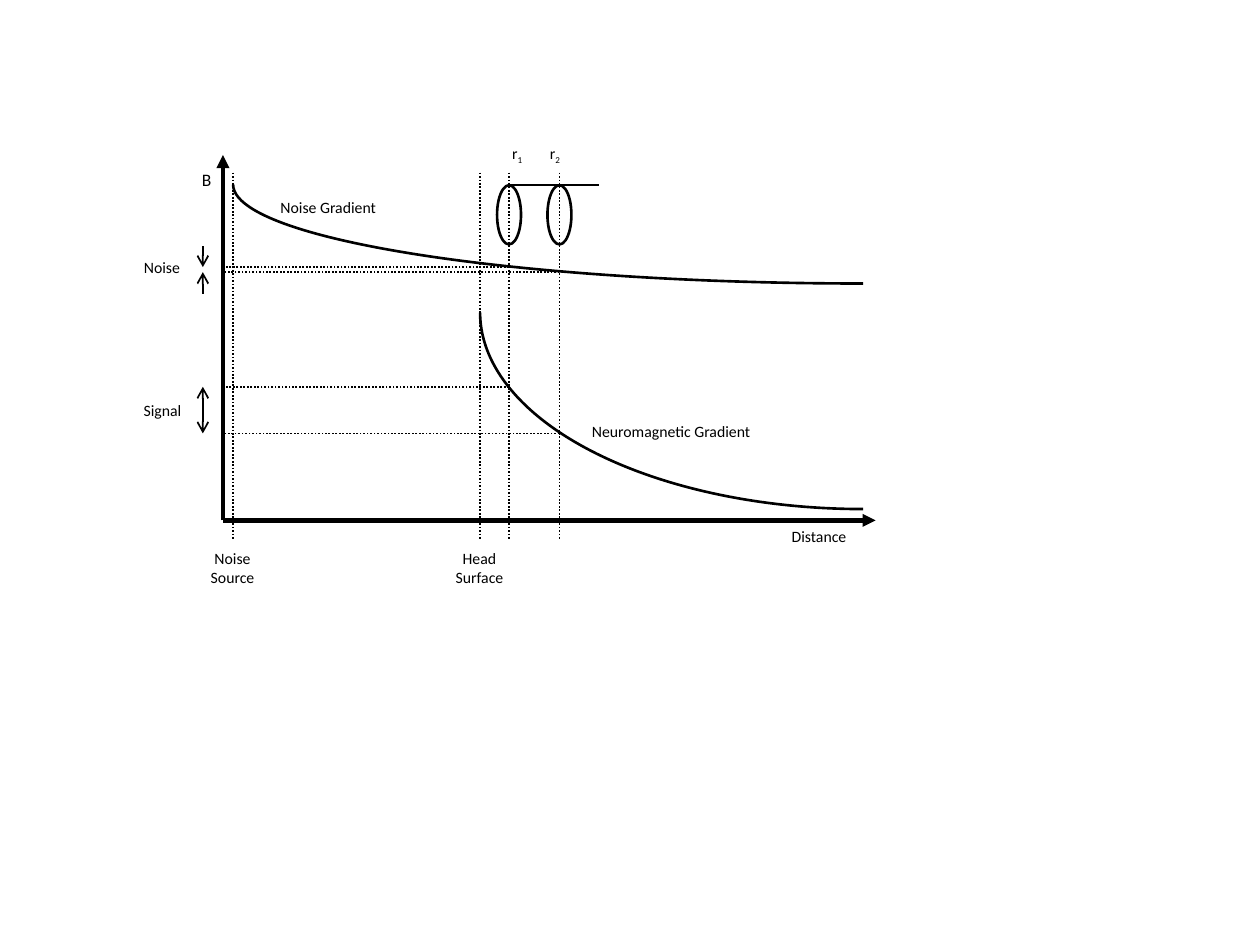
import dataclasses

import pptx
import pptx.dml.color
import pptx.enum.dml
import pptx.enum.shapes
import pptx.enum.text
import pptx.oxml
import pptx.oxml.ns
import pptx.util

Inches = pptx.util.Inches
SHAPES = pptx.enum.shapes.MSO_SHAPE


@dataclasses.dataclass(frozen=True)
class Theme:
    """Colours, type sizes and line widths of the diagram."""
    ink: pptx.dml.color.RGBColor = pptx.dml.color.RGBColor(0, 0, 0)
    font: str = "Calibri"
    label: float = 9
    axis_label: float = 10
    axis: float = 2.5
    curve: float = 1.5
    guide: float = 1


THEME = Theme()

# Positions shared by several parts, in inches
AXIS_X, AXIS_Y = 1.77, 4.13
NOISE_SOURCE_X, HEAD_X = 1.85, 3.81
COIL_XS = (4.04, 4.44)
COIL_TOP, COIL_WIDTH, COIL_HEIGHT = 1.47, 0.19, 0.47
GUIDE_TOP, GUIDE_BOTTOM = 1.37, 4.29
NOISE_YS = (2.12, 2.16)
SIGNAL_YS = (3.07, 3.44)
MARKER_X = 1.61


def draw_line(shapes, start, end, width, dotted=False, head=None, tail=None):
    """Draw a straight line, with optional dots and arrowheads."""
    points = [Inches(value) for value in (*start, *end)]
    line = shapes.add_connector(pptx.enum.shapes.MSO_CONNECTOR.STRAIGHT, *points)
    line.line.color.rgb = THEME.ink
    line.line.width = pptx.util.Pt(width)
    if dotted:
        line.line.dash_style = pptx.enum.dml.MSO_LINE.ROUND_DOT
    stroke = line.line._get_or_add_ln()
    for tag, kind in (("a:headEnd", head), ("a:tailEnd", tail)):
        if kind:
            arrowhead = pptx.oxml.parse_xml(
                f'<{tag} {pptx.oxml.ns.nsdecls("a")} type="{kind}"/>')
            stroke.append(arrowhead)
    line._element.spPr.append(pptx.oxml.parse_xml(
        f'<a:effectLst {pptx.oxml.ns.nsdecls("a")}/>'))


def draw_outline(shapes, preset, left, top, width, height, rotation=0):
    """Draw an unfilled preset shape with a curve-weight outline."""
    outline = shapes.add_shape(
        preset, Inches(left), Inches(top), Inches(width), Inches(height))
    outline.rotation = rotation
    outline.shadow.inherit = False
    outline.fill.background()
    outline.line.color.rgb = THEME.ink
    outline.line.width = pptx.util.Pt(THEME.curve)


def add_label(shapes, text, left, top, width, height=0.25, size=THEME.label,
              subscript=""):
    """Add a centred label, with an optional subscript after the text."""
    label = shapes.add_textbox(
        Inches(left), Inches(top), Inches(width), Inches(height))
    frame = label.text_frame
    frame.word_wrap = False
    frame.auto_size = pptx.enum.text.MSO_AUTO_SIZE.SHAPE_TO_FIT_TEXT
    paragraph = frame.paragraphs[0]
    paragraph.text = text
    paragraph.alignment = pptx.enum.text.PP_ALIGN.CENTER
    paragraph.font.name = THEME.font
    paragraph.font.size = pptx.util.Pt(size)
    paragraph.font.color.rgb = THEME.ink
    if subscript:
        index = paragraph.add_run()
        index.text = subscript
        index._r.get_or_add_rPr().set("baseline", "-25000")


def draw_axes(shapes):
    """Draw the field and distance axes."""
    origin = (AXIS_X, AXIS_Y)
    for end in ((AXIS_X, 1.23), (6.95, AXIS_Y)):
        draw_line(shapes, origin, end, THEME.axis, tail="triangle")


def draw_guides(shapes):
    """Draw the dotted guides for distances and field levels."""
    for x in (NOISE_SOURCE_X, HEAD_X, *COIL_XS):
        draw_line(shapes, (x, GUIDE_TOP), (x, GUIDE_BOTTOM), THEME.guide, dotted=True)
    for levels in (NOISE_YS, SIGNAL_YS):
        for x, y in zip(COIL_XS, levels):
            draw_line(shapes, (x, y), (AXIS_X, y), THEME.guide, dotted=True)


def draw_gradients(shapes):
    """Draw the noise and neuromagnetic decay curves."""
    draw_outline(shapes, SHAPES.ARC, NOISE_SOURCE_X, 0.68, 10, 1.57, rotation=180)
    draw_outline(shapes, SHAPES.ARC, HEAD_X, 0.92, 6.08, 3.12, rotation=180)


def draw_gradiometer(shapes):
    """Draw the two pickup coils joined by their lead, as one group."""
    coils = shapes.add_group_shape().shapes
    draw_line(coils, (4.75, COIL_TOP), (COIL_XS[0], COIL_TOP), THEME.curve)
    for x in COIL_XS:
        draw_outline(coils, SHAPES.OVAL, x - COIL_WIDTH / 2, COIL_TOP,
                     COIL_WIDTH, COIL_HEIGHT)


def draw_markers(shapes):
    """Draw the arrows that mark the noise and signal differences."""
    for y, outer_y in zip(NOISE_YS, (1.95, 2.33)):
        draw_line(shapes, (MARKER_X, y), (MARKER_X, outer_y), THEME.guide, head="arrow")
    top, bottom = SIGNAL_YS
    draw_line(shapes, (MARKER_X, top), (MARKER_X, bottom), THEME.guide,
              head="arrow", tail="arrow")


def add_labels(shapes):
    """Add every label of the diagram."""
    add_label(shapes, "Noise\vSource", 1.54, 4.31, 0.61, 0.4)
    add_label(shapes, "Head\vSurface", 3.48, 4.31, 0.65, 0.4)
    add_label(shapes, "Noise Gradient", 2.04, 1.52, 1.13)
    add_label(shapes, "Neuromagnetic Gradient", 4.52, 3.3, 1.61)
    add_label(shapes, "Distance", 6.15, AXIS_Y, 0.7)
    add_label(shapes, "B", 1.49, 1.29, 0.3, 0.27, THEME.axis_label)
    add_label(shapes, "Signal", 1.01, 3.13, 0.56)
    add_label(shapes, "Noise", 1.02, 2, 0.53)
    for number, left in (("1", 3.96), ("2", 4.26)):
        add_label(shapes, "r", left, 1.09, 0.29, subscript=number)


def main():
    """Build the gradient diagram slide and save it."""
    deck = pptx.Presentation()
    deck.slide_width, deck.slide_height = Inches(10), Inches(7.5)
    shapes = deck.slides.add_slide(deck.slide_layouts[6]).shapes
    draw_axes(shapes)
    draw_guides(shapes)
    draw_gradients(shapes)
    draw_gradiometer(shapes)
    draw_markers(shapes)
    add_labels(shapes)
    deck.save("out.pptx")


main()
